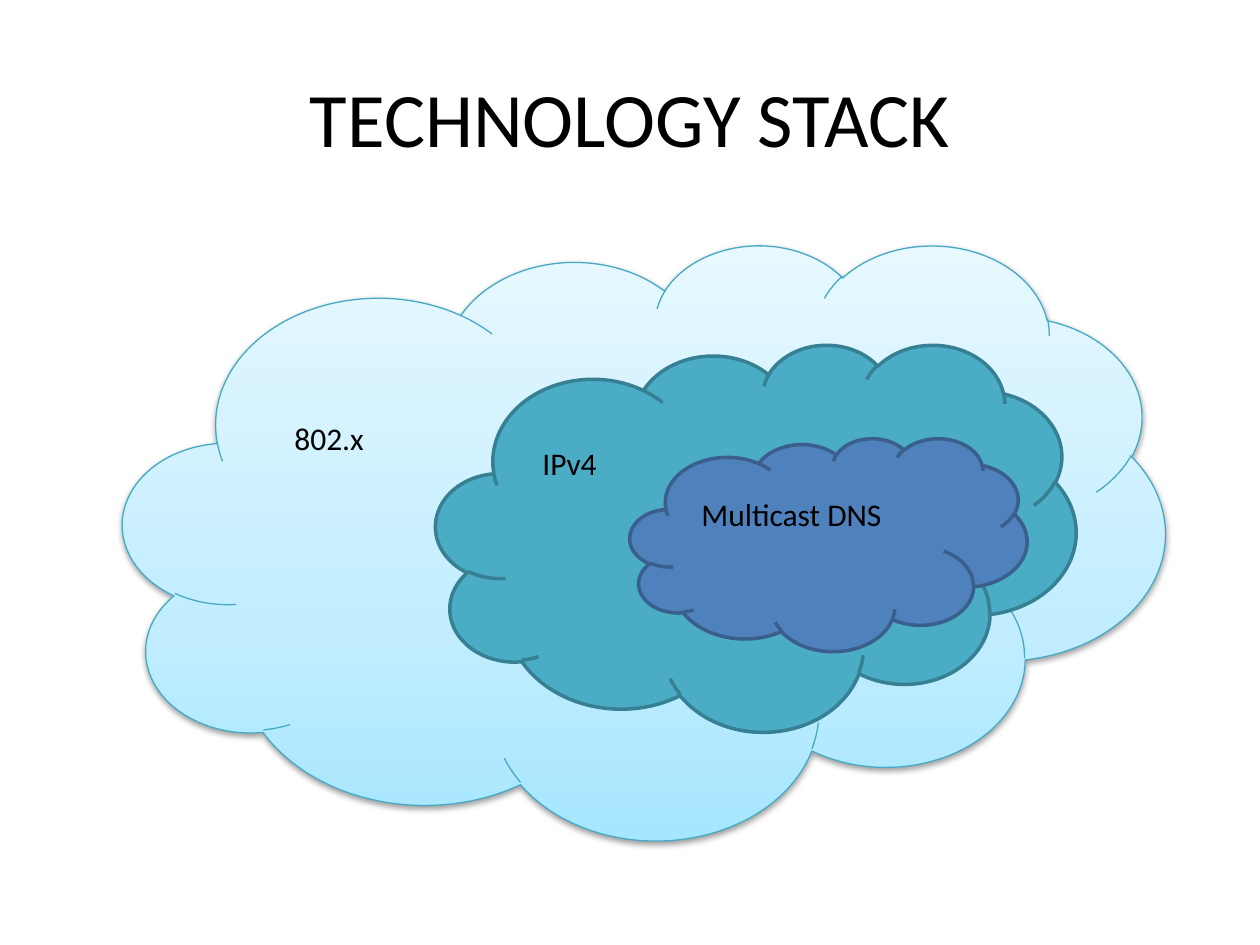
from copy import deepcopy

from lxml import etree
from pptx import Presentation
from pptx import util as u
from pptx.dml import color
from pptx.enum import shapes, text
from pptx.oxml import ns

SCALE = 914400 / 126


def px(n):
    return u.Emu(round(n * SCALE))


def rgb(code):
    return color.RGBColor.from_string(code)


def write(frame, words, size=18, ink="000000", face="Calibri",
          align=text.PP_ALIGN.LEFT, anchor=text.MSO_ANCHOR.TOP):
    frame.word_wrap = True
    frame.vertical_anchor = anchor
    para = frame.paragraphs[0]
    para.alignment = align
    run = para.add_run()
    run.text = words
    run.font.size = u.Pt(size)
    run.font.name = face
    run.font.color.rgb = rgb(ink)


class Deck:
    def __init__(self, wide, high):
        self.prs = Presentation()
        self.prs.slide_width = px(wide)
        self.prs.slide_height = px(high)
        self.slide = self.prs.slides.add_slide(self.prs.slide_layouts[5])

    def title(self, words, box):
        head = self.slide.shapes.title
        head.left, head.top, head.width, head.height = map(px, box)
        write(head.text_frame, words, size=44, align=text.PP_ALIGN.CENTER,
              anchor=text.MSO_ANCHOR.MIDDLE)

    def label(self, words, box):
        area = self.slide.shapes.add_textbox(*map(px, box))
        write(area.text_frame, words)
        area.text_frame.auto_size = text.MSO_AUTO_SIZE.SHAPE_TO_FIT_TEXT

    def cloud(self, box, fill, edge, width=2):
        form = self.slide.shapes.add_shape(shapes.MSO_SHAPE.CLOUD, *map(px, box))
        form.shadow.inherit = False
        form.line.color.rgb = rgb(edge)
        form.line.width = u.Pt(width)
        if isinstance(fill, str):
            form.fill.solid()
            form.fill.fore_color.rgb = rgb(fill)
        else:
            self.blend(form, fill)
        return form

    def blend(self, form, stops):
        form.fill.gradient()
        form.fill.gradient_angle = 90
        group = form._element.spPr.find(".//" + ns.qn("a:gsLst"))
        while len(group) < len(stops):
            group.append(deepcopy(group[-1]))
        for stop, (place, code) in zip(form.fill.gradient_stops, stops):
            stop.position = place
            stop.color.rgb = rgb(code)

    def shade(self, form, ink, alpha, blur, dist):
        effect = form._element.spPr.find(ns.qn("a:effectLst"))
        drop = etree.SubElement(
            effect, ns.qn("a:outerShdw"), blurRad=str(u.Pt(blur)),
            dist=str(u.Pt(dist)), dir="5400000", rotWithShape="0")
        tint = etree.SubElement(drop, ns.qn("a:srgbClr"), val=ink)
        etree.SubElement(tint, ns.qn("a:alpha"), val=str(alpha * 1000))


def main():
    deck = Deck(1260, 945)
    deck.title("TECHNOLOGY STACK", (63, 38, 1134, 158))

    sky = [(0, "A7E6FF"), (0.35, "C1EDFF"), (1, "E7F8FF")]
    link = deck.cloud((123, 244, 1042, 595), sky, "46AAC5", width=0.75)
    deck.shade(link, "000000", alpha=38, blur=3.1, dist=1.6)
    deck.label("802.x", (282, 413, 307, 50))

    deck.cloud((436, 344, 640, 387), "4BACC6", "377F92")
    deck.label("IPv4", (530, 438, 169, 50))

    deck.cloud((630, 438, 397, 213), "4F81BD", "3A5F8C")
    deck.label("Multicast DNS", (689, 489, 307, 50))

    deck.prs.save("out.pptx")


if __name__ == "__main__":
    main()
